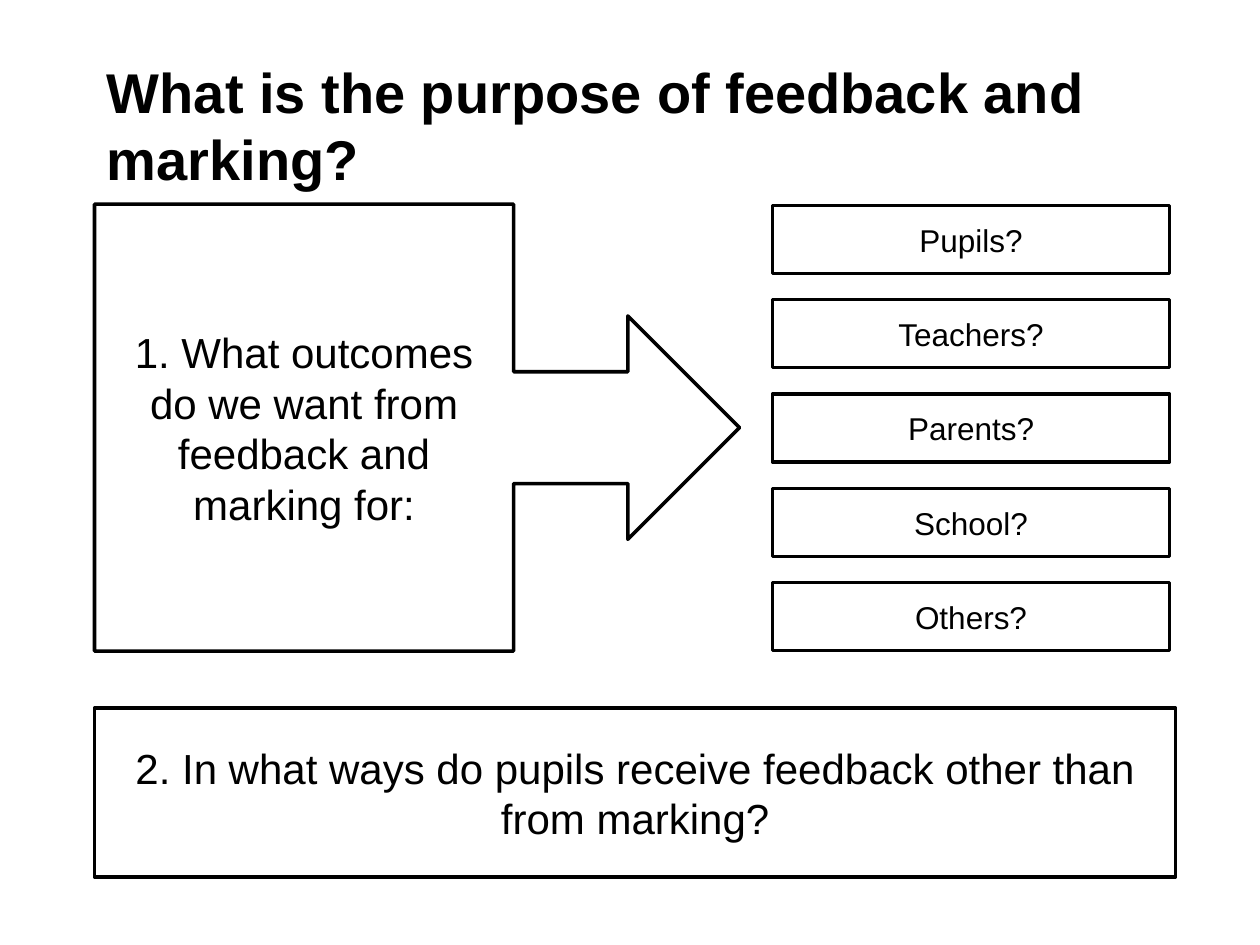
import pptx
import pptx.util
import pptx.dml.color
import pptx.enum.shapes
import pptx.enum.text

Pt = pptx.util.Pt
SHAPE = pptx.enum.shapes.MSO_SHAPE
ALIGN = pptx.enum.text.PP_ALIGN

# Content
TITLE = "What is the purpose of feedback and marking?"
OUTCOMES = "1. What outcomes do we want from feedback and marking for:"
AUDIENCES = ["Pupils?", "Teachers?", "Parents?", "School?", "Others?"]
OTHER_WAYS = "2. In what ways do pupils receive feedback other than from marking?"

# Style and layout, in points
COLORS = {"ink": "000000"}
FONT = "Arial"
LEFT = 54
CALLOUT_TOP, CALLOUT_W, CALLOUT_H = 116.7, 368.6, 255.4
ROW_LEFT, ROW_TOP, ROW_W, ROW_H, ROW_PITCH = 441.5, 117.4, 226.8, 38.9, 53.9


def rgb(name):
    return pptx.dml.color.RGBColor.from_string(COLORS[name])


def write(s, text, size, align, bold=False):
    tf = s.text_frame
    tf.word_wrap = True
    tf.vertical_anchor = pptx.enum.text.MSO_ANCHOR.MIDDLE
    p = tf.paragraphs[0]
    p.alignment = align
    r = p.add_run()
    r.text = text
    r.font.name = FONT
    r.font.size = Pt(size)
    r.font.bold = bold
    r.font.color.rgb = rgb("ink")


def add_box(slide, kind, left, top, width, height, text, size):
    s = slide.shapes.add_shape(kind, Pt(left), Pt(top), Pt(width), Pt(height))
    s.shadow.inherit = False
    s.fill.background()
    s.line.color.rgb = rgb("ink")
    s.line.width = Pt(2)
    write(s, text, size, ALIGN.CENTER)


def main():
    prs = pptx.Presentation()
    prs.slide_width, prs.slide_height = Pt(720), Pt(540)
    slide = prs.slides.add_slide(prs.slide_layouts[6])

    # Title
    title = slide.shapes.add_textbox(Pt(LEFT), Pt(26), Pt(612), Pt(90.7))
    write(title, TITLE, 32, ALIGN.LEFT, bold=True)

    # First question, pointing at the audiences
    add_box(slide, SHAPE.RIGHT_ARROW_CALLOUT, LEFT, CALLOUT_TOP,
            CALLOUT_W, CALLOUT_H, OUTCOMES, 24)

    # Audiences
    for i, audience in enumerate(AUDIENCES):
        add_box(slide, SHAPE.RECTANGLE, ROW_LEFT, ROW_TOP + i * ROW_PITCH,
                ROW_W, ROW_H, audience, 18)

    # Second question
    add_box(slide, SHAPE.RECTANGLE, LEFT, 404.6, 617.8, 96.5, OTHER_WAYS, 24)

    prs.save("out.pptx")


if __name__ == "__main__":
    main()
